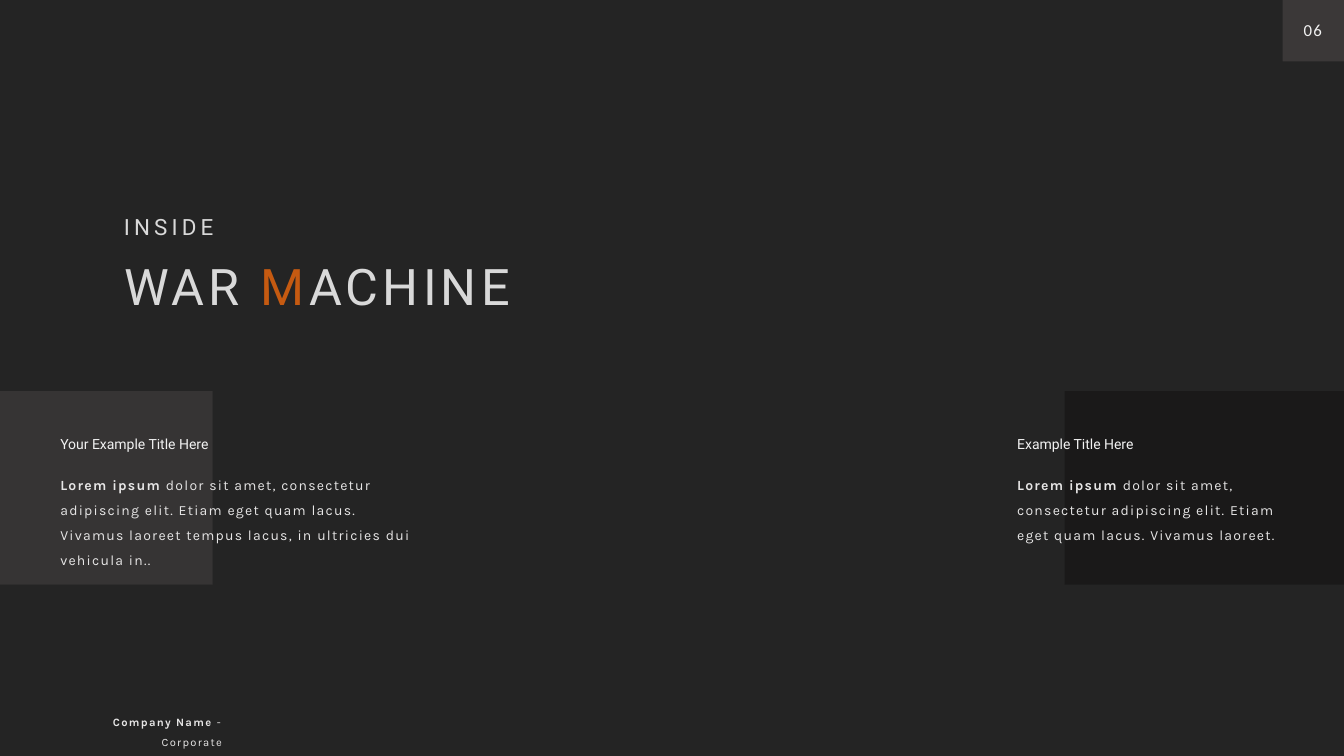
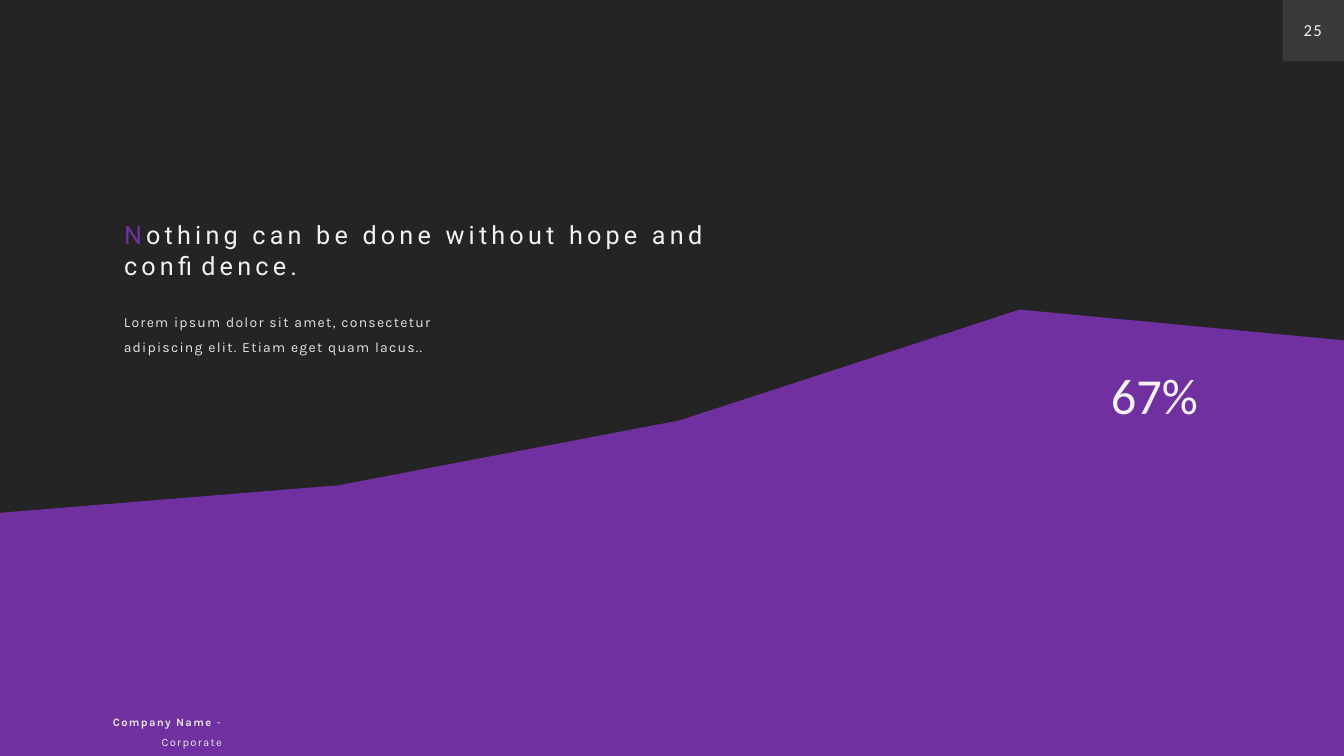
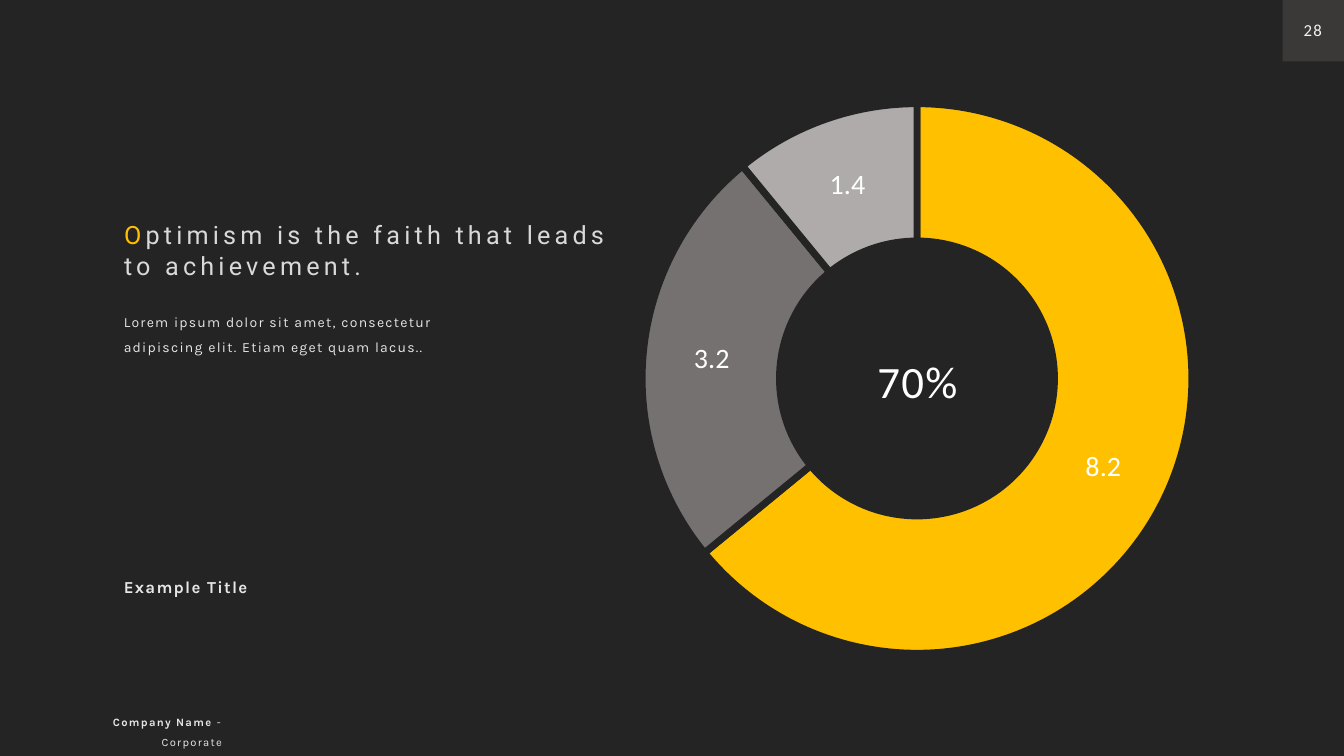
from pptx import Presentation
from pptx.chart.data import CategoryChartData
from pptx.dml.color import RGBColor
from pptx.enum.chart import XL_CHART_TYPE as Chart
from pptx.enum.shapes import MSO_SHAPE
from pptx.enum.text import MSO_ANCHOR as Anchor, MSO_AUTO_SIZE as AutoSize, PP_ALIGN as Align
from pptx.oxml import parse_xml
from pptx.oxml.ns import nsdecls, qn
from pptx.util import Inches, Pt

DARK = RGBColor(0x24, 0x24, 0x24)
BLACK = RGBColor(0x18, 0x17, 0x17)
PANEL = RGBColor(0x3B, 0x38, 0x38)
WHITE = RGBColor(0xFF, 0xFF, 0xFF)
BRIGHT = RGBColor(0xF2, 0xF2, 0xF2)
PALE = RGBColor(0xE7, 0xE6, 0xE6)
SILVER = RGBColor(0xD9, 0xD9, 0xD9)
ORANGE = RGBColor(0xC5, 0x5A, 0x11)
PURPLE = RGBColor(0x70, 0x30, 0xA0)
YELLOW = RGBColor(0xFF, 0xC0, 0x00)
GREY = RGBColor(0x76, 0x71, 0x71)
LIGHT_GREY = RGBColor(0xAF, 0xAB, 0xAB)

# font name, size, colour, letter spacing in points
STYLES = {
    "title": ("Roboto", 36, SILVER, 3),
    "kicker": ("Roboto", 16, SILVER, 3),
    "quote": ("Roboto", 18, SILVER, 3),
    "heading": ("Roboto", 10, BRIGHT, 0),
    "body": ("Karla", 10, PALE, 0.9),
    "caption": ("Karla", 12, PALE, 0.9),
    "footer": ("Karla", 8, PALE, 0.9),
    "page": ("Calibri", 12, BRIGHT, 0.9),
    "share": ("Calibri", 36, BRIGHT, 0),
    "ring": ("Calibri", 32, WHITE, 0.9),
}
BOLD = {"bold": True}
SLIDE_W, SLIDE_H = 13.33, 7.5
TEXT_X = 1.13
PAGE_BOX = 0.61

FOOTER = [("Company Name ", BOLD), ("- Corporate", {})]
INTRO = "Lorem ipsum dolor sit amet, consectetur adipiscing elit. Etiam eget quam lacus.."

# panel left and width, panel colour, text left, body width, heading, body
PANELS = [
    (0, 2.11, PANEL, 0.5, 3.75, "Your Example Title Here",
     "dolor sit amet, consectetur adipiscing elit. Etiam eget quam lacus. "
     "Vivamus laoreet tempus lacus, in ultricies dui vehicula in.."),
    (10.56, 2.78, BLACK, 9.99, 3.03, "Example Title Here",
     "dolor sit amet, consectetur adipiscing elit. Etiam eget quam lacus. Vivamus laoreet."),
]
AREAS = [
    ("Series 1", (56, 62, 76, 100, 93), PURPLE),
    ("Series 2", (40, 47, 62, 71, 64), PANEL),
    ("Series 3", (18, 24, 38, 51, 53), DARK),
]
RING = [(8.2, YELLOW), (3.2, GREY), (1.4, LIGHT_GREY)]


def place(s, at):
    s.left, s.top, s.width, s.height = (Inches(v) for v in at)


def write(s, runs, style, align=Align.LEFT, anchor=Anchor.TOP, spacing=None, wrap=True):
    """Fill a shape with one paragraph of (text, font overrides) runs."""
    name, size, color, tracking = STYLES[style]
    tf = s.text_frame
    tf.word_wrap, tf.auto_size, tf.vertical_anchor = wrap, AutoSize.SHAPE_TO_FIT_TEXT, anchor
    p = tf.paragraphs[0]
    p.alignment = align
    if spacing:
        p.line_spacing = spacing
    for text, overrides in runs:
        r = p.add_run()
        r.text = text
        look = {"name": name, "size": Pt(size), "bold": False, "color": color, **overrides}
        r.font.color.rgb = look.pop("color")
        for key, value in look.items():
            setattr(r.font, key, value)
        if tracking:
            r.font._element.set("spc", str(round(tracking * 100)))


def add_text(slide, at, runs, style, **layout):
    s = slide.shapes.add_textbox(*(Inches(v) for v in at))
    write(s, [(runs, {})] if isinstance(runs, str) else runs, style, **layout)


def add_title(slide, at, runs, style):
    place(slide.shapes.title, at)
    write(slide.shapes.title, runs, style)


def add_rect(slide, at, color, opacity=100):
    s = slide.shapes.add_shape(MSO_SHAPE.RECTANGLE, *(Inches(v) for v in at))
    s.shadow.inherit = False
    s.fill.solid()
    s.fill.fore_color.rgb = color
    s.line.fill.background()
    if opacity < 100:
        rgb = s._element.spPr.find(qn("a:solidFill"))[0]
        rgb.append(parse_xml(f'<a:alpha {nsdecls("a")} val="{opacity * 1000}"/>'))


def add_chart(slide, kind, at, series):
    data = CategoryChartData()
    data.categories = [str(i + 1) for i in range(len(series[0][1]))]
    for name, values, *_ in series:
        data.add_series(name, values)
    chart = slide.shapes.add_chart(kind, *(Inches(v) for v in at), data).chart
    chart.has_title = chart.has_legend = False
    chart.font.name, chart.font.size = "Calibri", Pt(10)
    return chart


def add_frame(slide, page):
    """Page number box and footer found on every slide."""
    left = SLIDE_W - PAGE_BOX
    add_rect(slide, (left, 0, PAGE_BOX, PAGE_BOX), PANEL)
    add_text(slide, (left + 0.1, 0.15, 0.4, 0.3), page, "page",
             align=Align.CENTER, anchor=Anchor.MIDDLE, wrap=False)
    add_text(slide, (0.47, 6.98, 1.83, 0.28), FOOTER, "footer", align=Align.RIGHT, spacing=1.5)


def add_quote(slide, width, initial, rest, accent, color):
    add_title(slide, (TEXT_X, 2.13, width, 0.71),
              [(initial, {"color": accent}), (rest, {"color": color})], "quote")
    add_text(slide, (TEXT_X, 2.98, 3.57, 0.57), INTRO, "body", spacing=1.5)


def build_inside(slide):
    for left, width, color, *_ in PANELS:
        add_rect(slide, (left, 3.88, width, 1.92), color, opacity=80)
    for *_, left, width, heading, body in PANELS:
        add_text(slide, (left, 4.59, width, 0.83), [("Lorem ipsum ", BOLD), (body, {})],
                 "body", spacing=1.5)
        add_text(slide, (left, 4.27, 2.63, 0.27), heading, "heading", anchor=Anchor.MIDDLE)
    add_title(slide, (TEXT_X, 2.48, 5.75, 0.71),
              [("WAR ", {}), ("M", {"color": ORANGE}), ("ACHINE", {})], "title")
    add_text(slide, (TEXT_X, 2.07, 1.42, 0.37), "INSIDE", "kicker")


def build_hope(slide):
    chart = add_chart(slide, Chart.AREA, (-0.86, 2.38, 15.22, 6.3), AREAS)
    chart.value_axis.has_major_gridlines = False
    chart.value_axis.minimum_scale, chart.value_axis.maximum_scale = 0, 110
    chart.category_axis.visible = chart.value_axis.visible = False
    for series, (_, _, color) in zip(chart.plots[0].series, AREAS):
        series.format.fill.solid()
        series.format.fill.fore_color.rgb = color
    plot_area = chart._chartSpace.find(f'{qn("c:chart")}/{qn("c:plotArea")}')
    for old in plot_area.findall(qn("c:layout")):
        plot_area.remove(old)
    parts = [("layoutTarget", "inner"), ("xMode", "edge"), ("yMode", "edge"),
             ("x", 0.055), ("y", 0.037), ("w", 0.888), ("h", 0.801)]
    inner = "".join(f'<c:{tag} val="{value}"/>' for tag, value in parts)
    plot_area.insert(0, parse_xml(
        f'<c:layout {nsdecls("c")}><c:manualLayout>{inner}</c:manualLayout></c:layout>'))
    add_quote(slide, 6.71, "N", "othing can be done without hope and confidence.", PURPLE, BRIGHT)
    add_text(slide, (10.92, 3.56, 1.33, 0.71), "67%", "share", wrap=False)


def build_optimism(slide):
    chart = add_chart(slide, Chart.DOUGHNUT, (5.77, 0.89, 6.65, 5.73),
                      [("Series 1", [value for value, _ in RING])])
    plot = chart.plots[0]
    plot.vary_by_categories = True
    plot._element.find(qn("c:holeSize")).set("val", "90")
    for i, (_, color) in enumerate(RING):
        look = plot.series[0].points[i].format
        look.fill.solid()
        look.fill.fore_color.rgb = color
        look.line.color.rgb = DARK
        look.line.width = Pt(5)
    labels = plot.series[0].data_labels
    labels.show_value = True
    labels.show_percentage = labels.show_category_name = False
    labels.font.name, labels.font.size = "Calibri", Pt(20)
    labels.font.color.rgb = WHITE
    add_text(slide, (8.55, 3.46, 1.1, 0.58), "70%", "ring", align=Align.CENTER, wrap=False)
    add_quote(slide, 5.1, "O", "ptimism is the faith that leads to achievement.", YELLOW, SILVER)
    add_text(slide, (TEXT_X, 5.57, 2.15, 0.37), [("Example Title", BOLD)], "caption", spacing=1.5)


def main():
    prs = Presentation()
    prs.slide_width, prs.slide_height = Inches(SLIDE_W), Inches(SLIDE_H)
    background = prs.slide_master.background.fill
    background.solid()
    background.fore_color.rgb = DARK
    for page, build in (("06", build_inside), ("25", build_hope), ("28", build_optimism)):
        slide = prs.slides.add_slide(prs.slide_layouts[5])
        build(slide)
        add_frame(slide, page)
    prs.save("out.pptx")


if __name__ == "__main__":
    main()
